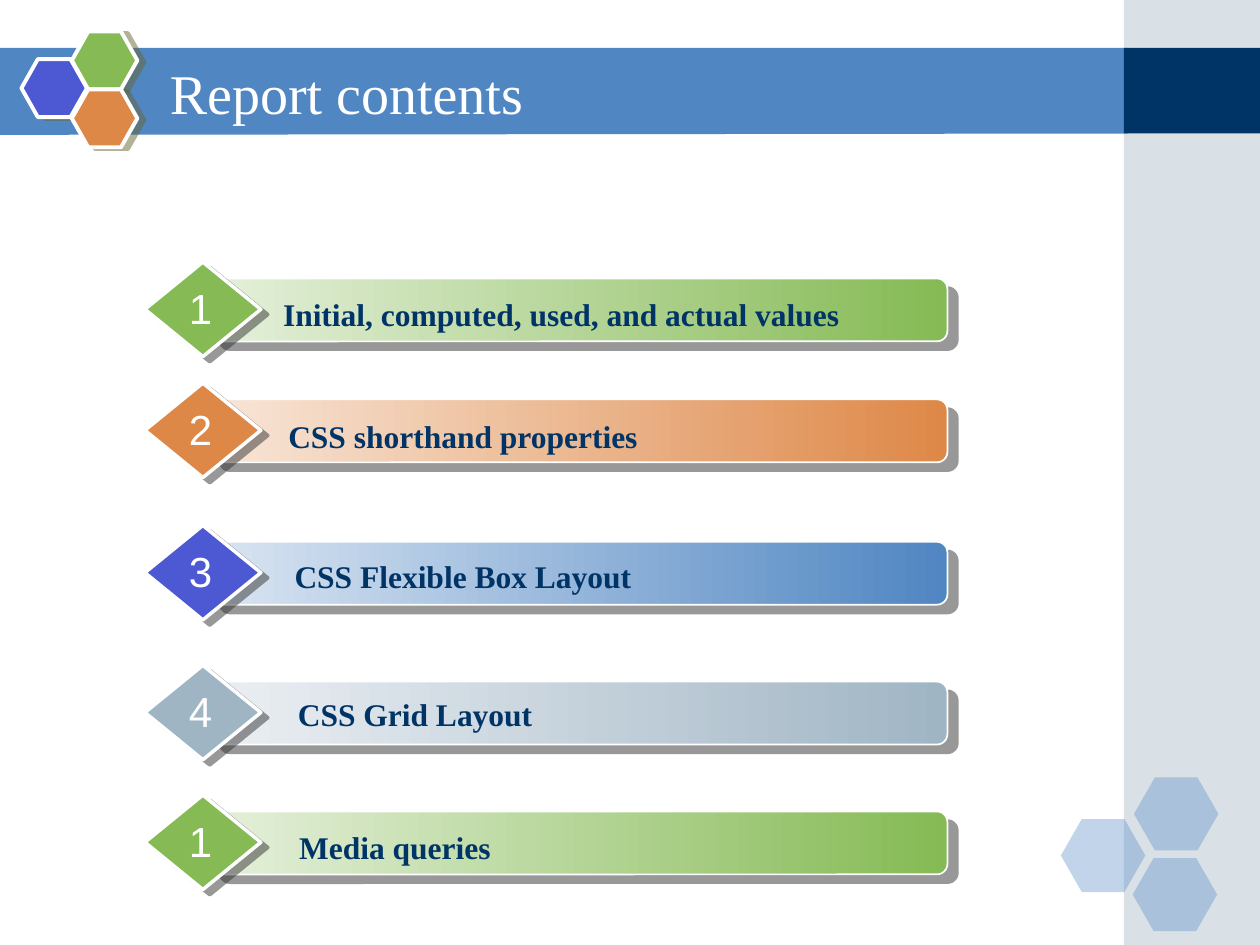
from lxml.etree import SubElement
from pptx import Presentation
from pptx.dml.color import RGBColor
from pptx.enum.shapes import MSO_SHAPE
from pptx.enum.text import MSO_ANCHOR, PP_ALIGN
from pptx.oxml.ns import qn
from pptx.util import Inches, Pt

COLORS = {
    "white": "FFFFFF", "navy": "003366", "blue": "5086C2", "gray": "A0B5C4",
    "indigo": "4C59D2", "green": "85BA54", "orange": "DE8848",
    "pale_green": "E5F0DB", "pale_orange": "F8E6D8", "pale_blue": "DAE5F2",
    "pale_gray": "EBEFF3", "shade": "333333", "olive": "666633",
}
FORMATS = {
    "title": {"name": "Times New Roman", "size": Pt(32), "bold": False},
    "label": {"name": "Times New Roman", "size": Pt(18), "bold": True},
    "number": {"name": "Arial", "size": Pt(24), "bold": False},
}
LOGO_SHADOW = ("olive", 4.1, 14)
BAR_SHADOW = ("shade", 7.8, 40)
DIAMOND_SHADOW = ("shade", 5, 37)

LOGO_HEXAGONS = [(0.17, 0.47, "indigo"), (0.57, 0.25, "green"), (0.57, 0.71, "orange")]
CORNER_HEXAGONS = [(8.42, 6.5), (9, 6.17), (8.99, 6.81)]
CONTENTS = [
    (2.08, "1", "Initial, computed, used, and actual values", 2.14, 2.29, "green", "pale_green", "green"),
    (3.04, "2", "CSS shorthand properties", 1.36, 3.26, "orange", "pale_orange", "orange"),
    (4.17, "3", "CSS Flexible Box Layout", 1.36, 4.37, "indigo", "pale_blue", "blue"),
    (5.28, "4", "CSS Grid Layout", 0.98, 5.47, "gray", "pale_gray", "gray"),
    (6.31, "1", "Media queries", 0.82, 6.52, "green", "pale_green", "green"),
]


def rgb(color):
    return RGBColor.from_string(COLORS[color])


class SlideBuilder:
    def __init__(self, slide):
        self.slide = slide

    def paint(self, shape, fill, alpha=None, line=None, shadow=None):
        if isinstance(fill, tuple):
            shape.fill.gradient()
            shape.fill.gradient_angle = 0
            for stop, color in zip(shape.fill.gradient_stops, fill):
                stop.color.rgb = rgb(color)
        else:
            shape.fill.solid()
            shape.fill.fore_color.rgb = rgb(fill)
        if alpha:
            color_element = shape._element.spPr.find(qn("a:solidFill"))[0]
            SubElement(color_element, qn("a:alpha"), val=str(alpha * 1000))
        if line:
            shape.line.color.rgb = rgb("white")
            shape.line.width = Pt(line)
        else:
            shape.line.fill.background()
        shape.shadow.inherit = False
        if shadow:
            self.cast_shadow(shape, *shadow)

    def cast_shadow(self, shape, color, distance, angle):
        effects = shape._element.spPr.find(qn("a:effectLst"))
        outer = SubElement(effects, qn("a:outerShdw"), dist=str(int(Pt(distance))),
                           dir=str(angle * 60000), algn="ctr", rotWithShape="0")
        color_element = SubElement(outer, qn("a:srgbClr"), val=COLORS[color])
        SubElement(color_element, qn("a:alpha"), val="50000")

    def shape(self, kind, left, top, width, height, fill, adjustment=None, **style):
        shape = self.slide.shapes.add_shape(
            kind, Inches(left), Inches(top), Inches(width), Inches(height))
        if adjustment:
            shape.adjustments[0] = adjustment
        self.paint(shape, fill, **style)

    def outline(self, points, fill):
        start, *rest = [(Inches(x), Inches(y)) for x, y in points]
        builder = self.slide.shapes.build_freeform(*start)
        builder.add_line_segments(rest, close=True)
        self.paint(builder.convert_to_shape(), fill)

    def text(self, words, left, top, width, height, style, color="white",
             align=PP_ALIGN.CENTER, anchor=MSO_ANCHOR.TOP, wrap=True):
        box = self.slide.shapes.add_textbox(
            Inches(left), Inches(top), Inches(width), Inches(height))
        frame = box.text_frame
        frame.word_wrap = wrap
        frame.vertical_anchor = anchor
        paragraph = frame.paragraphs[0]
        paragraph.alignment = align
        run = paragraph.add_run()
        run.text = words
        for attribute, value in FORMATS[style].items():
            setattr(run.font, attribute, value)
        run.font.color.rgb = rgb(color)

    def content_row(self, top, number, label, label_left, label_top, accent, start, end):
        self.shape(MSO_SHAPE.ROUNDED_RECTANGLE, 1.66, top + 0.13, 5.86, 0.5, (start, end),
                   adjustment=0.167, line=1, shadow=BAR_SHADOW)
        self.shape(MSO_SHAPE.DIAMOND, 1.15, top, 0.92, 0.75, accent,
                   line=2, shadow=DIAMOND_SHADOW)
        self.text(label, label_left, label_top, 4.63, 0.4, "label", color="navy")
        self.text(number, 1.4, top + 0.11, 0.38, 0.5, "number", wrap=False)


def main():
    presentation = Presentation()
    presentation.slide_width = Inches(10)
    presentation.slide_height = Inches(7.5)
    builder = SlideBuilder(presentation.slides.add_slide(presentation.slide_layouts[6]))

    builder.outline([(-0.01, 0.38), (8.95, 0.38), (8.95, 1.06), (-0.01, 1.07)], "blue")
    builder.shape(MSO_SHAPE.RECTANGLE, 8.92, 0, 1.08, 7.5, "gray", alpha=40)
    builder.shape(MSO_SHAPE.RECTANGLE, 8.92, 0.38, 1.08, 0.68, "navy")
    for left, top in CORNER_HEXAGONS:
        builder.shape(MSO_SHAPE.HEXAGON, left, top, 0.67, 0.58, "blue",
                      adjustment=0.286, alpha=35)
    for left, top, color in LOGO_HEXAGONS:
        builder.shape(MSO_SHAPE.HEXAGON, left, top, 0.52, 0.46, color,
                      adjustment=0.283, line=2.25, shadow=LOGO_SHADOW)
    for row in CONTENTS:
        builder.content_row(*row)
    builder.text("Report contents", 1.25, 0.42, 8.75, 0.62, "title",
                 align=PP_ALIGN.LEFT, anchor=MSO_ANCHOR.MIDDLE)

    presentation.save("out.pptx")


if __name__ == "__main__":
    main()
